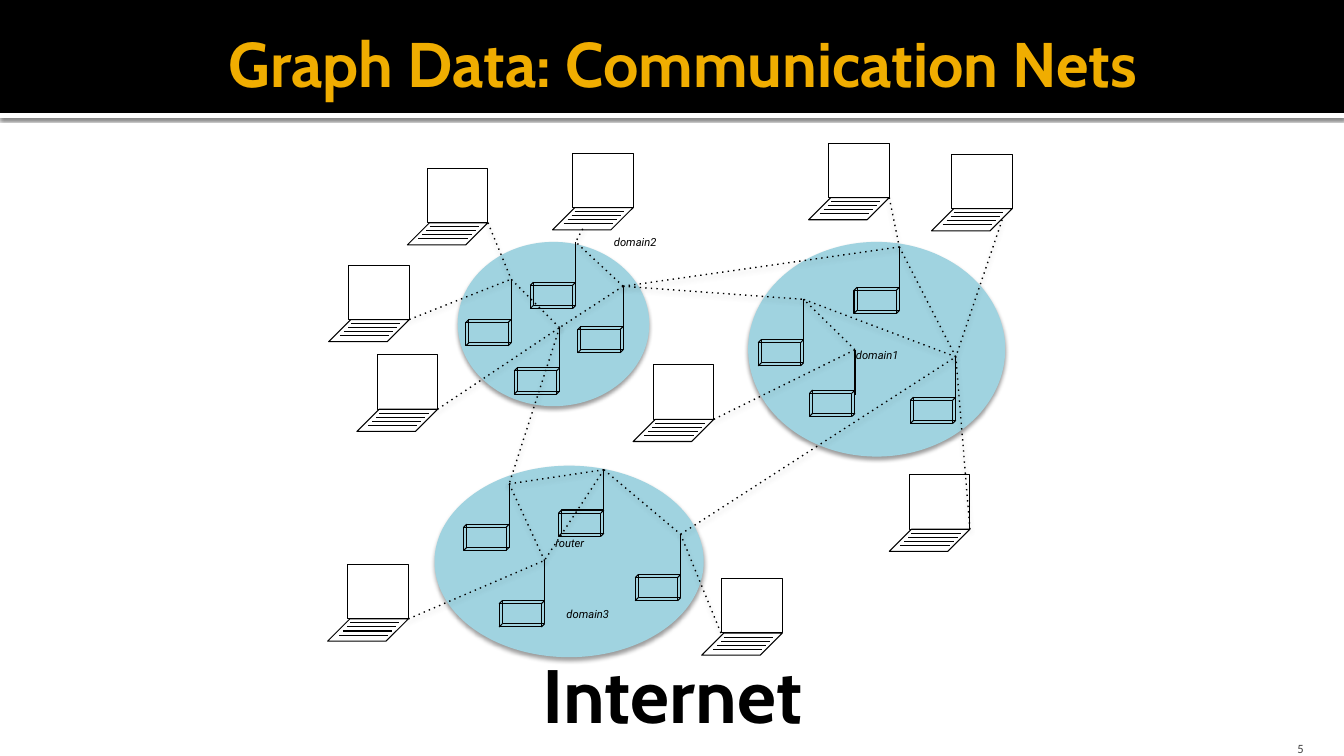
from dataclasses import dataclass
from lxml.etree import SubElement
from pptx import Presentation
from pptx.dml.color import RGBColor
from pptx.enum.shapes import MSO_CONNECTOR, MSO_SHAPE as SHAPE
from pptx.enum.text import MSO_ANCHOR as ANCHOR, PP_ALIGN as ALIGN
from pptx.oxml.ns import qn
from pptx.util import Pt

PX = 9144


@dataclass(frozen=True)
class Theme:
    black: str = "000000"
    white: str = "FFFFFF"
    gold: str = "F0AD00"
    cloud: str = "A0D3E0"
    grey: str = "454545"
    heading: str = "Cabin"
    label: str = "Roboto"
    number: str = "Calibri"
    title_size: int = 45
    caption_size: int = 54
    label_size: int = 8
    number_size: int = 9
    outline: float = 0.75
    link: float = 1
    band_shadow: tuple = (60, 2.5, 0.8)
    cloud_shadow: tuple = (38, 3.1, 2)
    link_shadow: tuple = (38, 3.5, 2)


THEME = Theme()

TITLE = "Graph Data: Communication Nets"
CAPTION = "Internet"
PAGE = "5"
DOMAINS = [(742, 240, 255, 213), (454, 240, 190, 163), (431, 462, 267, 190)]
LABELS = [
    ("domain2", 599, 229, 115),
    ("domain1", 839, 341, 115),
    ("domain3", 552, 598, 115),
    ("router", 541, 527, 90),
]
LAPTOPS = {
    "A": (404, 221), "B": (326, 317), "C": (354, 406), "D": (548, 206),
    "E": (802, 196), "F": (325, 614), "G": (696, 628), "H": (628, 416),
    "I": (882, 525), "J": (924, 207),
}
ROUTERS = {
    "1 west": (752, 340), "1 north": (847, 288), "1 east": (903, 397), "1 south": (803, 390),
    "2 west": (462, 320), "2 north": (526, 283), "2 east": (573, 327), "2 south": (510, 368),
    "3 west": (460, 523), "3 north": (554, 509), "3 east": (630, 573), "3 south": (495, 599),
}
ROUTER_LINKS = [
    ("2 south", "2 west"), ("2 east", "2 south"), ("2 east", "2 north"),
    ("2 south", "3 west"), ("3 north", "3 south"), ("3 north", "3 east"),
    ("3 north", "3 west"), ("3 west", "3 south"), ("1 south", "1 west"),
    ("2 east", "1 west"), ("2 east", "1 north"), ("1 east", "1 north"),
    ("1 east", "1 west"), ("3 east", "1 east"),
]
CORNER = (80, 0)
LAPTOP_LINKS = [
    ("A", "2 west", CORNER), ("B", "2 west", CORNER), ("C", "2 south", CORNER),
    ("D", "2 north", (30, 21)), ("E", "1 north", CORNER), ("F", "3 south", CORNER),
    ("G", "3 east", (19, 0)), ("H", "1 south", CORNER), ("I", "1 east", CORNER),
    ("J", "1 east", (70, 11)),
]
KEY_ROWS = [(22, 4), (19, 8), (15, 12), (11, 16)]
KEY_ROW_WIDTH = 49
ROUTER_WIDTH, ROUTER_HEIGHT, ROUTER_DEPTH = 42, 23, 3

deck = Presentation()
deck.slide_width, deck.slide_height = 1333 * PX, 750 * PX
slide = deck.slides.add_slide(deck.slide_layouts[5])
shapes = slide.shapes


def rgb(value):
    return RGBColor.from_string(value)


def cast_shadow(effects, shadow):
    alpha, blur, distance = shadow
    outer = SubElement(effects, qn("a:outerShdw"), blurRad=str(Pt(blur)),
                       dist=str(Pt(distance)), dir="5400000", rotWithShape="0")
    color = SubElement(outer, qn("a:srgbClr"), val=THEME.black)
    SubElement(color, qn("a:alpha"), val=str(alpha * 1000))


def filled(kind, box, color, shadow=None):
    area = shapes.add_shape(kind, *(v * PX for v in box))
    area.shadow.inherit = False
    area.fill.solid()
    area.fill.fore_color.rgb = rgb(color)
    area.line.fill.background()
    if shadow:
        cast_shadow(area._element.spPr.find(qn("a:effectLst")), shadow)


def outlined(kind, *box):
    frame = shapes.add_shape(kind, *(v * PX for v in box))
    frame.shadow.inherit = False
    frame.fill.background()
    frame.line.color.rgb = rgb(THEME.black)
    frame.line.width = Pt(THEME.outline)
    return frame


def stroke(start, end, dotted=False):
    wire = shapes.add_connector(MSO_CONNECTOR.STRAIGHT, *(v * PX for v in (*start, *end)))
    wire.line.color.rgb = rgb(THEME.black)
    wire.line.width = Pt(THEME.link if dotted else THEME.outline)
    properties = wire._element.spPr
    if dotted:
        SubElement(properties.find(qn("a:ln")), qn("a:prstDash"), val="dot")
    effects = SubElement(properties, qn("a:effectLst"))
    if dotted:
        cast_shadow(effects, THEME.link_shadow)


def write(holder, text, face, size, color, align=ALIGN.LEFT, bold=False, italic=False):
    frame = holder.text_frame
    frame.word_wrap = True
    line = frame.paragraphs[0]
    line.text = text
    line.alignment = align
    font = line.font
    font.name, font.size, font.bold, font.italic = face, Pt(size), bold, italic
    font.color.rgb = rgb(color)
    return frame


def text_box(*box):
    return shapes.add_textbox(*(v * PX for v in box))


def laptop(x, y):
    keyboard = outlined(SHAPE.PARALLELOGRAM, x, y, 80, 22)
    keyboard.adjustments[0] = 1
    outlined(SHAPE.RECTANGLE, x + 20, y - 54, 60, 54)
    for dx, dy in KEY_ROWS:
        stroke((x + dx, y + dy), (x + dx + KEY_ROW_WIDTH, y + dy))


def antenna_tip(name):
    x, y = ROUTERS[name]
    return x + ROUTER_WIDTH + ROUTER_DEPTH, y - 43


def router(name):
    x, y = ROUTERS[name]
    depth = ROUTER_DEPTH
    outlined(SHAPE.RECTANGLE, x, y, ROUTER_WIDTH, ROUTER_HEIGHT)
    outlined(SHAPE.RECTANGLE, x + depth, y - depth, ROUTER_WIDTH, ROUTER_HEIGHT)
    for left in (x, x + ROUTER_WIDTH):
        for top in (y, y + ROUTER_HEIGHT):
            stroke((left, top), (left + depth, top - depth))
    tip_x, tip_y = antenna_tip(name)
    stroke((tip_x, y + 2), (tip_x, tip_y))


filled(SHAPE.RECTANGLE, (0, 112, 1333, 5), THEME.white, THEME.band_shadow)
filled(SHAPE.RECTANGLE, (0, 0, 1333, 112), THEME.black)
for domain in DOMAINS:
    filled(SHAPE.OVAL, domain, THEME.cloud, THEME.cloud_shadow)
for place in LAPTOPS.values():
    laptop(*place)
for name in ROUTERS:
    router(name)
for start, end in ROUTER_LINKS:
    stroke(antenna_tip(start), antenna_tip(end), dotted=True)
for owner, name, (dx, dy) in LAPTOP_LINKS:
    x, y = LAPTOPS[owner]
    stroke((x + dx, y + dy), antenna_tip(name), dotted=True)
for label, x, y, width in LABELS:
    write(text_box(x, y, width, 24), label, THEME.label, THEME.label_size,
          THEME.black, italic=True)

write(text_box(321, 638, 692, 101), CAPTION, THEME.heading, THEME.caption_size,
      THEME.black, ALIGN.CENTER, bold=True)

title = shapes.title
title.left, title.top, title.width, title.height = (v * PX for v in (217, 8, 950, 108))
heading = write(title, TITLE, THEME.heading, THEME.title_size, THEME.gold, bold=True)
heading.vertical_anchor = ANCHOR.MIDDLE
heading.margin_left = 10 * PX
heading.margin_right = heading.margin_top = heading.margin_bottom = 5 * PX
shapes._spTree.append(title._element)

page = write(text_box(1196, 720, 107, 30), PAGE, THEME.number, THEME.number_size,
             THEME.grey, ALIGN.RIGHT)
page.vertical_anchor = ANCHOR.BOTTOM
page.margin_bottom = 0

deck.save("out.pptx")
